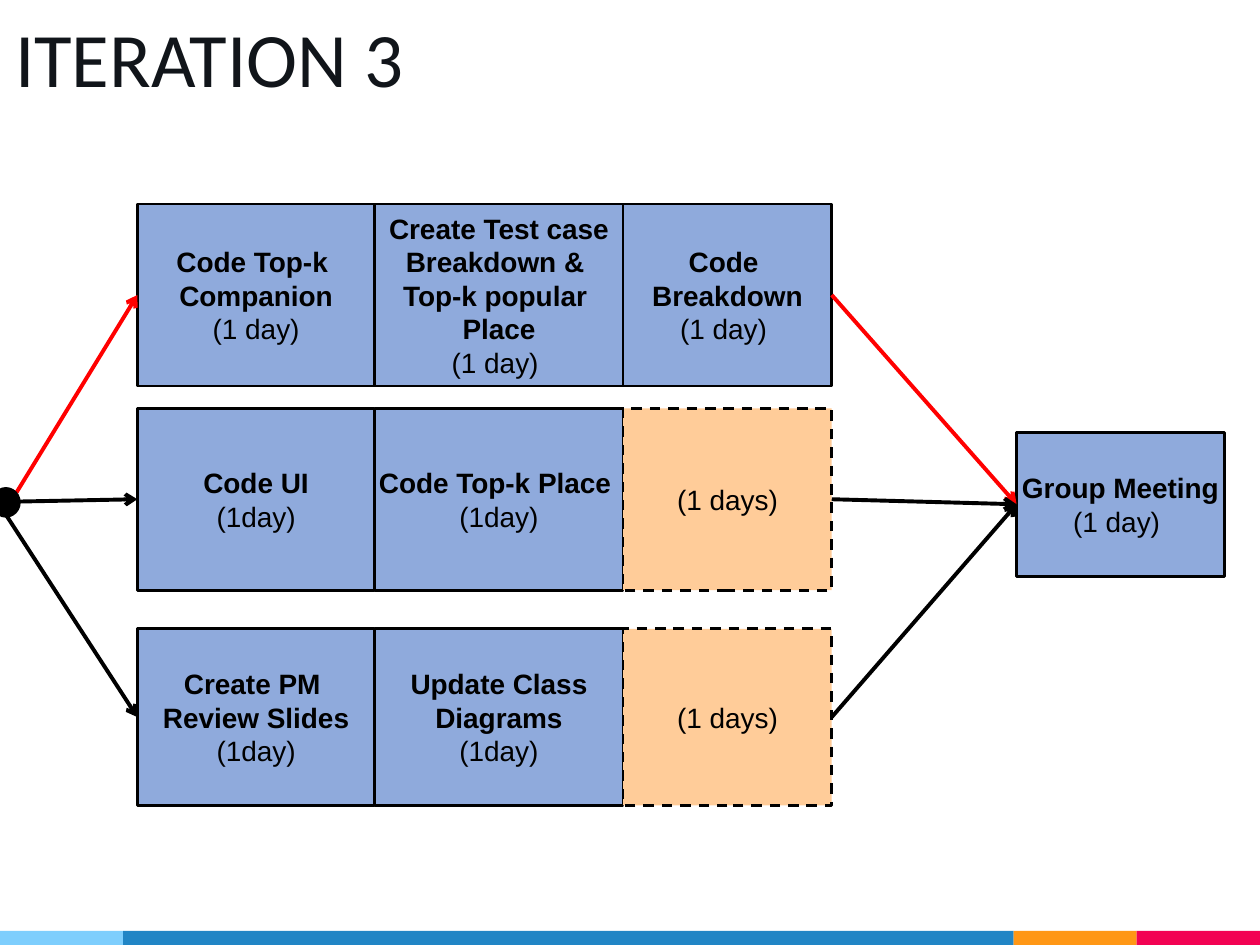
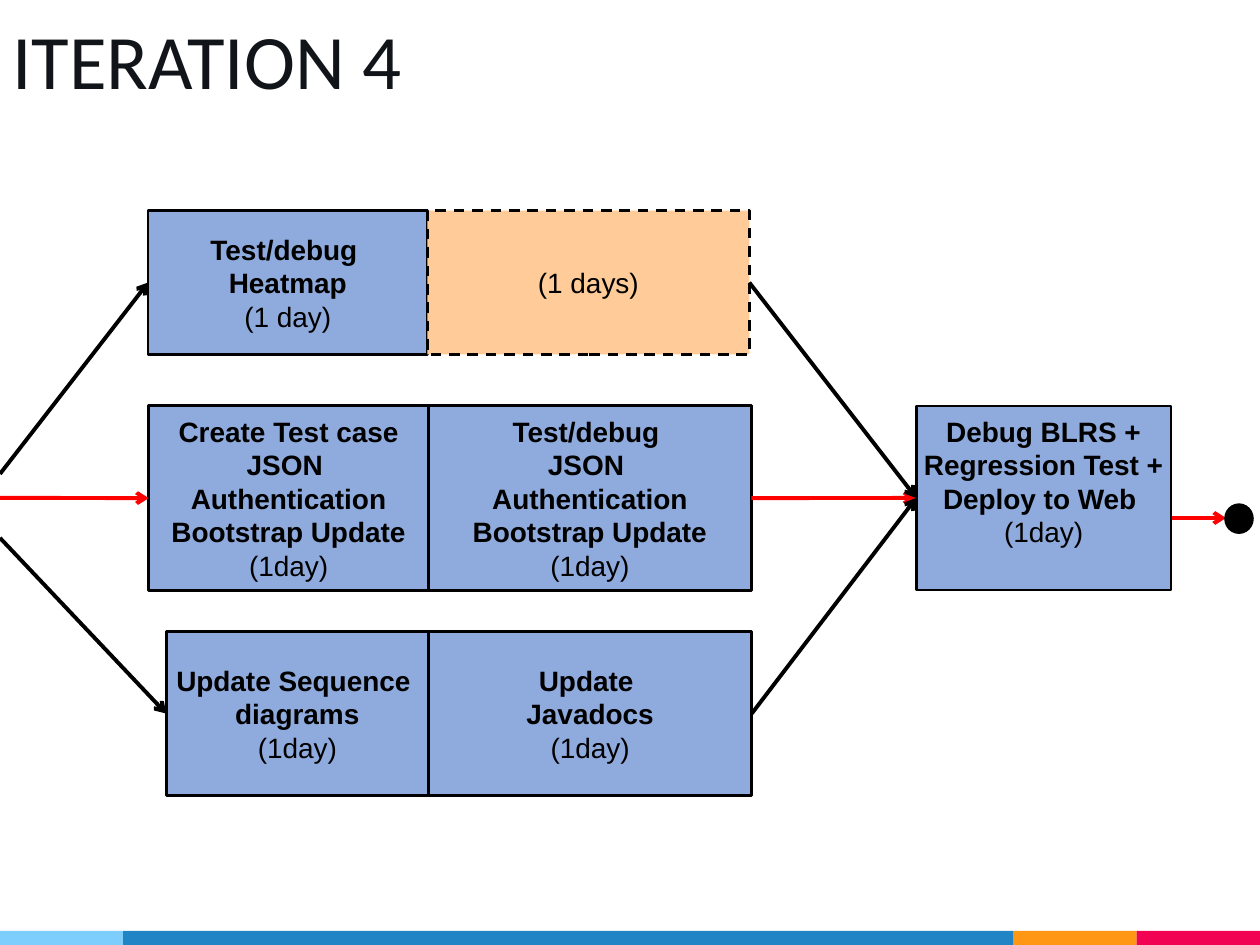
from dataclasses import dataclass

from lxml import etree
from pptx import Presentation
from pptx.dml.color import RGBColor
from pptx.enum.dml import MSO_LINE
from pptx.enum.shapes import MSO_CONNECTOR, MSO_SHAPE
from pptx.enum.text import MSO_ANCHOR, MSO_AUTO_SIZE, PP_ALIGN
from pptx.oxml.ns import qn
from pptx.util import Pt

RECTANGLE = MSO_SHAPE.RECTANGLE
OVAL = MSO_SHAPE.OVAL
STRAIGHT = MSO_CONNECTOR.STRAIGHT
DASH = MSO_LINE.DASH
MIDDLE = MSO_ANCHOR.MIDDLE
BOTTOM = MSO_ANCHOR.BOTTOM
FIXED = MSO_AUTO_SIZE.NONE
CENTER = PP_ALIGN.CENTER
LEFT = PP_ALIGN.LEFT


@dataclass(frozen=True)
class Theme:
    task: str = "8FAADC"
    idle: str = "FFCC99"
    ink: str = "000000"
    critical: str = "FF0000"
    title: str = "11151A"
    bands: tuple = ("7ECEFD", "2185C5", "FF9715", "F20253")
    title_font: str = "Calibri"
    body_font: str = "Arial"
    title_size: float = 44
    body_size: float = 16
    outline: float = 1.5
    arrow: float = 2.25


theme = Theme()


def write(para, text, font=theme.body_font, size=theme.body_size,
          color=theme.ink, bold=False, align=CENTER):
    para.alignment = align
    for index, line in enumerate(text.split("\n")):
        if index:
            para.add_line_break()
        if line:
            span = para.add_run()
            span.text = line
            span.font.name = font
            span.font.size = Pt(size)
            span.font.bold = bold
            span.font.color.rgb = RGBColor.from_string(color)


def draw(page, kind, left, top, width, height, fill, outlined=True):
    shape = page.shapes.add_shape(kind, Pt(left), Pt(top), Pt(width), Pt(height))
    shape.shadow.inherit = False
    shape.fill.solid()
    shape.fill.fore_color.rgb = RGBColor.from_string(fill)
    if outlined:
        shape.line.color.rgb = RGBColor.from_string(theme.ink)
        shape.line.width = Pt(theme.outline)
    else:
        shape.line.fill.background()
    return shape


band_edges = (0, 70.4, 579.2, 649.6, 720)
dot_width, dot_height = 15.4, 16

iterations = [
    {
        "title": "ITERATION 3", "title_at": (1.4, -0.7), "dot": (-4.3, 279.1),
        "lanes": [
            {"top": 359.3, "height": 101, "edges": (78.5, 214.2, 356.1, 475.3),
             "start": (3.6, 294.5), "color": theme.ink,
             "tasks": [("Create PM \nReview Slides", "(1day)"),
                       ("Update Class\nDiagrams", "(1day)"), ("", "(1 days)")]},
            {"top": 116.6, "height": 104, "edges": (78.5, 214.2, 356.1, 475.3),
             "start": (9.4, 281.5), "color": theme.critical,
             "tasks": [("Code Top-k \nCompanion", "(1 day)"),
                       ("Create Test case\nBreakdown & \nTop-k popular \nPlace", "(1 day) "),
                       ("Code \nBreakdown", "(1 day) ")]},
            {"top": 233.3, "height": 104, "edges": (78.5, 214.2, 356.1, 475.3),
             "start": (11.5, 286.6), "color": theme.ink,
             "tasks": [("Code UI", "(1day)"), ("Code Top-k Place ", "(1day)"),
                       ("", "(1 days)")]},
        ],
        "closing": (580.9, 247, 118.8, 82.3, "Group Meeting", "(1 day) "),
        "spare_below": 0,
        "finish": [],
    },
    {
        "title": "ITERATION 4", "title_at": (0, 0), "dot": (700.3, 288.4),
        "lanes": [
            {"top": 231.9, "height": 105.5, "edges": (85, 244.8, 429.4),
             "start": (0, 284.5), "color": theme.critical,
             "tasks": [("Create Test case\nJSON \nAuthentication\nBootstrap Update", "(1day)"),
                       ("Test/debug \nJSON \nAuthentication\nBootstrap Update", "(1day)")]},
            {"top": 361, "height": 93.5, "edges": (95, 244.8, 429.6),
             "start": (0, 307.4), "color": theme.ink,
             "tasks": [("Update Sequence \ndiagrams", "(1day)"),
                       ("Update \nJavadocs", "(1day)")]},
            {"top": 120.3, "height": 82.3, "edges": (84.7, 244.3, 428.2),
             "start": (0, 270.8), "color": theme.ink,
             "tasks": [("Test/debug \nHeatmap", "(1 day)"), ("", "(1 days)")]},
        ],
        "closing": (523.6, 231.9, 145.6, 105.3,
                    "Debug BLRS +\nRegression Test +\nDeploy to Web ", "(1day)"),
        "spare_below": 19,
        "finish": [((669.6, 296), (700.6, 296), theme.critical)],
    },
]

deck = Presentation()
deck.slide_width, deck.slide_height = Pt(720), Pt(540)

for iteration in iterations:
    page = deck.slides.add_slide(deck.slide_layouts[5])

    for left, right, color in zip(band_edges, band_edges[1:], theme.bands):
        draw(page, RECTANGLE, left, 532, right - left, 8, color, outlined=False)

    title = page.shapes.title
    title.left, title.top = (Pt(value) for value in iteration["title_at"])
    title.width, title.height = Pt(543.6), Pt(67.7)
    frame = title.text_frame
    frame.auto_size = FIXED
    frame.word_wrap = True
    frame.vertical_anchor = BOTTOM
    frame.margin_left = frame.margin_right = Pt(7.2)
    frame.margin_top = frame.margin_bottom = Pt(7.2)
    frame.paragraphs[0].line_spacing = 0.9
    write(frame.paragraphs[0], iteration["title"], font=theme.title_font,
          size=theme.title_size, color=theme.title, align=LEFT)

    closing = iteration["closing"]
    entry = (closing[0], closing[1] + closing[3] / 2)
    boxes = [(*closing, iteration["spare_below"])]
    links = list(iteration["finish"])
    for lane in iteration["lanes"]:
        edges, top, height = lane["edges"], lane["top"], lane["height"]
        middle = top + height / 2
        for left, right, (name, duration) in zip(edges, edges[1:], lane["tasks"]):
            boxes.append((left, top, right - left, height, name, duration, 0))
        links.append((lane["start"], (edges[0], middle), lane["color"]))
        links.append(((edges[-1], middle), entry, lane["color"]))

    for left, top, width, height, name, duration, spare in boxes:
        box = draw(page, RECTANGLE, left, top, width, height,
                   theme.task if name else theme.idle)
        frame = box.text_frame
        frame.word_wrap = False
        frame.vertical_anchor = MIDDLE
        frame.margin_left = frame.margin_right = Pt(6)
        frame.margin_top, frame.margin_bottom = Pt(3), Pt(3 + spare)
        para = frame.paragraphs[0]
        if name:
            write(para, name + "\n", bold=True)
        else:
            box.line.dash_style = DASH
        write(para, duration)

    for start, end, color in links:
        link = page.shapes.add_connector(
            STRAIGHT, *(Pt(value) for value in (*start, *end)))
        link.line.color.rgb = RGBColor.from_string(color)
        link.line.width = Pt(theme.arrow)
        etree.SubElement(link.line._get_or_add_ln(), qn("a:tailEnd"), type="arrow")
        etree.SubElement(link._element.spPr, qn("a:effectLst"))

    draw(page, OVAL, *iteration["dot"], dot_width, dot_height, theme.ink)

deck.save("out.pptx")
